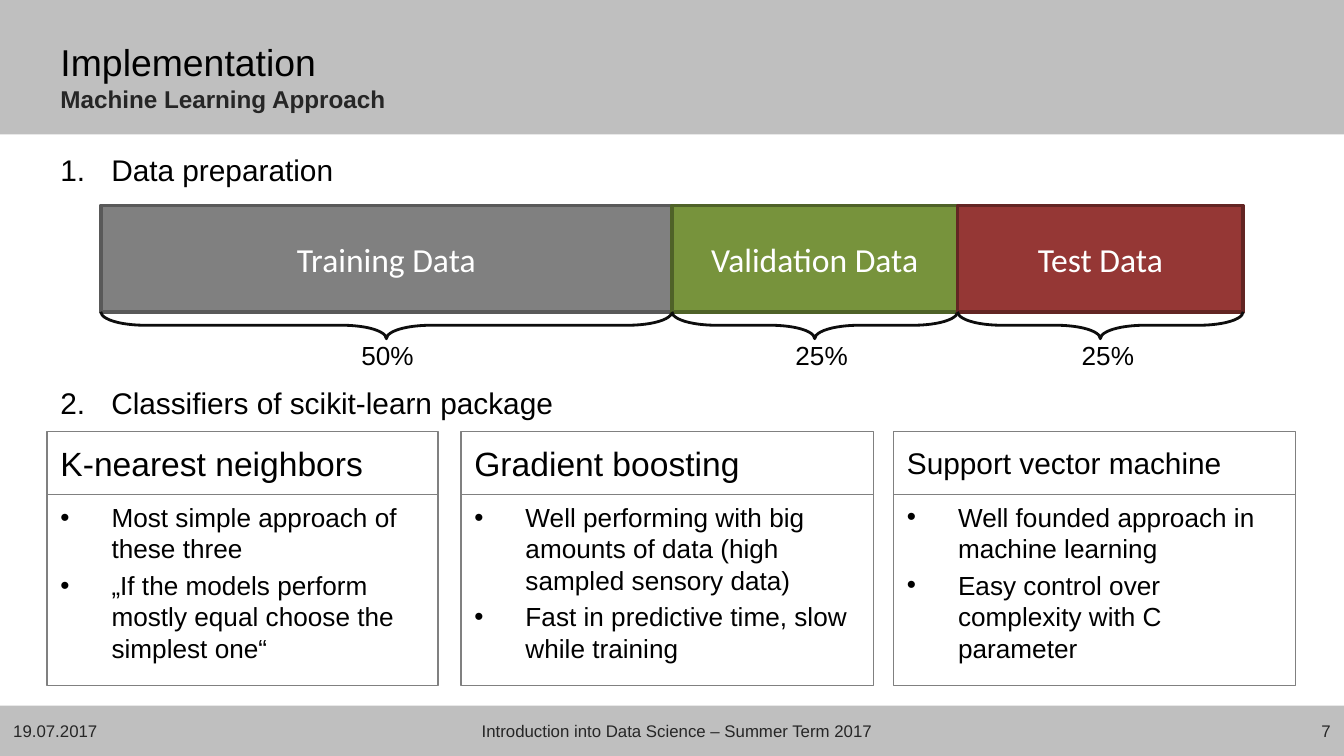
from lxml import etree
from pptx import Presentation
from pptx.dml.color import RGBColor
from pptx.enum.shapes import MSO_SHAPE
from pptx.enum.text import MSO_ANCHOR, MSO_AUTO_SIZE, PP_ALIGN
from pptx.oxml.ns import qn
from pptx.util import Inches, Pt

RECT, BRACE = MSO_SHAPE.RECTANGLE, MSO_SHAPE.LEFT_BRACE
TOP, MIDDLE = MSO_ANCHOR.TOP, MSO_ANCHOR.MIDDLE
LEFT, CENTER, RIGHT = PP_ALIGN.LEFT, PP_ALIGN.CENTER, PP_ALIGN.RIGHT
NO_FIT = MSO_AUTO_SIZE.NONE
W, H = 10, 10 * 9 / 16
rgb = RGBColor.from_string


def style(sp, box, fill=None, line=None, width=0.75):
    sp.left, sp.top, sp.width, sp.height = [Inches(v) for v in box]
    if fill:
        sp.fill.solid()
        sp.fill.fore_color.rgb = rgb(fill)
    else:
        sp.fill.background()
    if line:
        sp.line.color.rgb = rgb(line)
        sp.line.width = Pt(width)
    else:
        sp.line.fill.background()
    return sp


def write(sp, paras, size, color="000000", font="Arial", align=LEFT,
          anchor=MIDDLE, bullet=None, value=None, before=0, wrap=True):
    tf = sp.text_frame
    tf.word_wrap = wrap
    tf.auto_size = NO_FIT
    tf.vertical_anchor = anchor
    for i, text in enumerate(paras):
        p = tf.paragraphs[0] if i == 0 else tf.add_paragraph()
        p.alignment = align
        p.space_before = Pt(before)
        r = p.add_run()
        r.text = text
        r.font.size, r.font.name, r.font.bold = Pt(size), font, False
        r.font.color.rgb = rgb(color)
        pPr = p._p.get_or_add_pPr()
        indent = Inches(0.38) if bullet else 0
        pPr.set("marL", str(indent))
        pPr.set("indent", str(-indent))
        if bullet == "buChar":
            etree.SubElement(pPr, qn("a:buFont")).set("typeface", "Arial")
        bu = etree.SubElement(pPr, qn("a:" + (bullet or "buNone")))
        if bullet == "buChar":
            bu.set("char", "•")
        elif bullet == "buAutoNum":
            bu.set("type", "arabicPeriod")
            bu.set("startAt", str(value))


prs = Presentation()
prs.slide_width, prs.slide_height = Inches(W), Inches(H)
s = prs.slides.add_slide(prs.slide_layouts[4])
shapes = s.shapes

for i, (y, h) in enumerate([(0, 1), (5.25, H - 5.25)]):
    band = style(shapes.add_shape(RECT, 0, 0, 0, 0), (0, y, W, h), "BFBFBF")
    band.shadow.inherit = False
    shapes._spTree.insert(2 + i, band._element)

title = style(shapes.title, (0.35, 0.22, 8.43, 0.7))
write(title, ["Implementation"], 20)
p = title.text_frame.paragraphs[0]
p.add_line_break()
r = p.add_run()
r.text = "Machine Learning Approach"
r.font.size, r.font.name, r.font.bold = Pt(13), "Arial", True
r.font.color.rgb = rgb("262626")

steps = [(1.08, "Data preparation"), (2.81, "Classifiers of scikit-learn package")]
for number, (y, text) in enumerate(steps, 1):
    step = style(shapes.add_shape(RECT, 0, 0, 0, 0), (0.35, y, 9.29, 0.39), line="FFFFFF")
    step.shadow.inherit = False
    write(step, [text], 16, anchor=TOP, bullet="buAutoNum", value=number, before=3.2)

classifiers = [
    (0.35, 2.91, "K-nearest neighbors", 18,
     ["Most simple approach of these three",
      "„If the models perform mostly equal choose the simplest one“"]),
    (3.43, 3.07, "Gradient boosting", 18,
     ["Well performing with big amounts of data (high sampled sensory data)",
      "Fast in predictive time, slow while training"]),
    (6.65, 2.99, "Support vector machine", 16,
     ["Well founded approach in machine learning",
      "Easy control over complexity with C parameter"]),
]
bodies = [ph for ph in s.placeholders if ph.placeholder_format.idx in (1, 2, 3, 4)]
bodies += [shapes.add_textbox(0, 0, 0, 0) for _ in range(2)]
for i, (x, w, name, size, points) in enumerate(classifiers):
    head, body = bodies[2 * i:2 * i + 2]
    style(head, (x, 3.21, w, 0.47), line="808080")
    write(head, [name], size, before=size * 0.2)
    style(body, (x, 3.68, w, 1.42), line="808080")
    write(body, points, 14, anchor=TOP, bullet="buChar", before=2.8)

x = 0.75
parts = [
    ("Training Data", 50, "808080", "595959", 2.59),
    ("Validation Data", 25, "77933C", "4F6228", 5.82),
    ("Test Data", 25, "953735", "632523", 7.95),
]
for name, share, fill, line, label_x in parts:
    w = 8.5 * share / 100
    bar = style(shapes.add_shape(RECT, 0, 0, 0, 0), (x, 1.53, w, 0.79), fill, line, 2)
    bar.shadow.inherit = False
    write(bar, [name], 18, "FFFFFF", "Calibri", CENTER)
    brace = style(shapes.add_shape(BRACE, 0, 0, 0, 0),
                  (x + w / 2 - 0.1, 2.42 - w / 2, 0.2, w), None, "0D0D0D", 1.5)
    brace.shadow.inherit = False
    brace.rotation = 270
    brace.adjustments[0] = 1.637
    label = style(shapes.add_textbox(0, 0, 0, 0), (label_x, 2.48, 0.59, 0.34))
    write(label, [f"{share}%"], 14, anchor=TOP, wrap=False)
    x += w

footer = [
    (0, 0.91, "19.07.2017", LEFT),
    (1.06, 7.95, "Introduction into Data Science – Summer Term 2017", CENTER),
    (9.09, 0.91, "7", RIGHT),
]
for x, w, text, align in footer:
    box = style(shapes.add_textbox(0, 0, 0, 0), (x, 5.32, w, 0.24))
    write(box, [text], 9, "262626", align=align)

prs.save("out.pptx")
